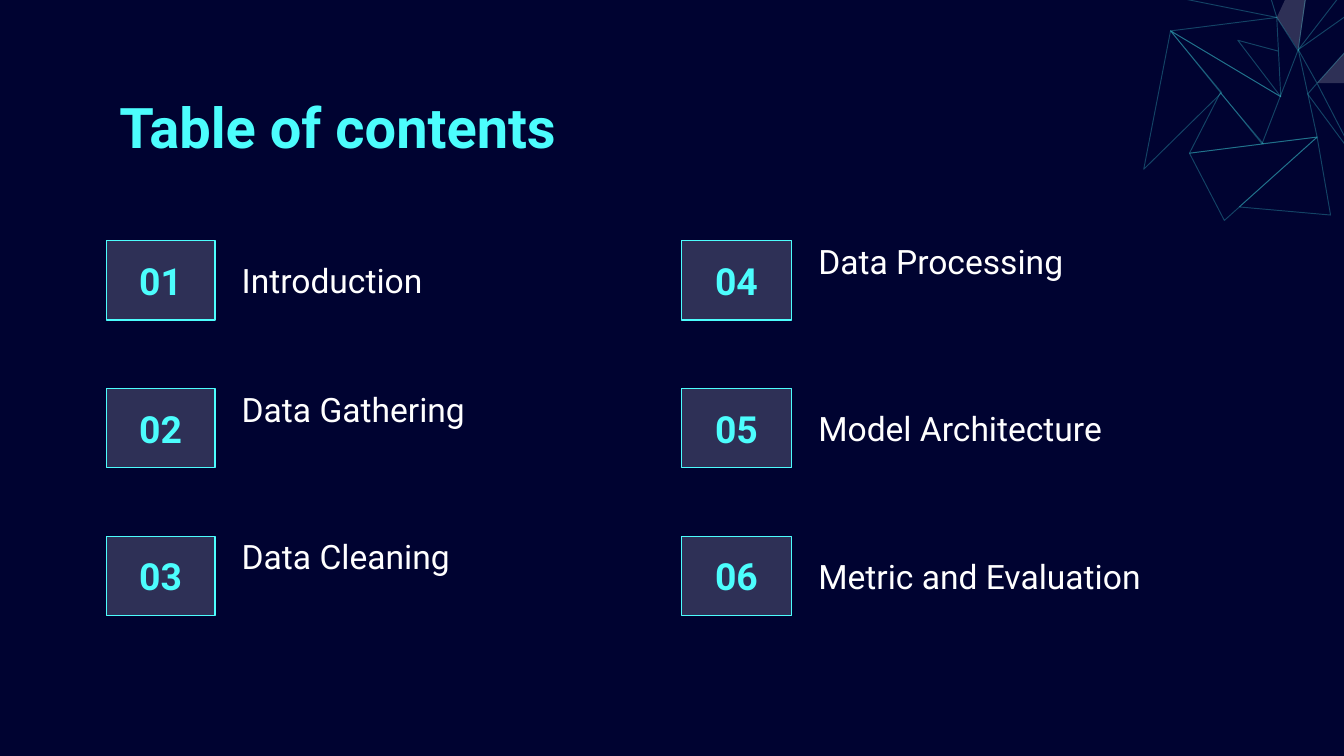
from lxml.etree import SubElement
from pptx import Presentation
from pptx.dml.color import RGBColor
from pptx.enum.shapes import MSO_SHAPE
from pptx.enum.text import MSO_ANCHOR as ANCHOR, PP_ALIGN as ALIGN
from pptx.oxml.ns import qn
from pptx.util import Inches, Pt

NAVY = RGBColor(0x00, 0x03, 0x31)
CYAN = RGBColor(0x4C, 0xFD, 0xFD)
WHITE = RGBColor(0xFF, 0xFF, 0xFF)

# Grid in inches: two columns of entries, three rows
COLUMNS = [(0.79, 0.81, 1.7), (5.07, 0.82, 5.99)]  # box left, box width, label left
FIRST_ROW, ROW_STEP, ROW_HEIGHT = 1.79, 1.1, 0.59
LABEL_WIDTH = 3.18

TITLE_FORMAT = {"size": Pt(30), "bold": True, "name": "Roboto"}
NUMBER_FORMAT = {"size": Pt(20), "bold": True, "name": "Roboto"}
LABEL_FORMAT = {"size": Pt(18), "bold": False, "name": "Roboto"}

# Label and whether it sits at the top of its row
ENTRIES = [
    ("Introduction", False), ("Data Gathering", True), ("Data Cleaning", True),
    ("Data Processing", True), ("Model Architecture", False),
    ("Metric and Evaluation", False),
]

# Corner web, in hundredths of an inch: closed outlines, open strands, filled facets
OUTLINES = [
    [(939, 107), (980, 102), (966, 37)],
    [(966, 37), (980, 62), (973, 70), (1010, 120), (980, 62), (1065, -33)],
    [(966, 37), (1027, -42), (978, -50)],
    [(865, -4), (950, 13), (925, -68)],
    [(851, 126), (909, 69), (871, 23)],
    [(885, 114), (911, 164), (980, 102)],
    [(885, 114), (940, 107), (908, 69)],
    [(922, 154), (990, 160), (980, 102)],
]
STRANDS = [
    [(939, 107), (871, 23), (953, 72), (950, 13), (966, 38)],
    [(951, 38), (921, 30), (953, 72), (871, 23), (950, 13)],
]
FACETS = [
    [(950, 13), (979, -49), (966, 37)],
    [(980, 62), (1057, 62), (1030, 6)],
]


def paint(fill, color, opacity):
    """Give a fill a solid colour with an opacity in percent."""
    fill.solid()
    fill.fore_color.rgb = color
    color_element = fill._xPr.find(qn("a:solidFill"))[0]
    SubElement(color_element, qn("a:alpha")).set("val", str(opacity * 1000))


def write(shape, text, color, font_format, align=ALIGN.LEFT, anchor=ANCHOR.MIDDLE):
    frame = shape.text_frame
    frame.word_wrap = True
    frame.vertical_anchor = anchor
    for side in ("left", "right", "top", "bottom"):
        setattr(frame, f"margin_{side}", Inches(0.1))
    paragraph = frame.paragraphs[0]
    paragraph.alignment = align
    run = paragraph.add_run()
    run.text = text
    run.font.color.rgb = color
    for name, value in font_format.items():
        setattr(run.font, name, value)


presentation = Presentation()
presentation.slide_width = Inches(10)
presentation.slide_height = Inches(5.625)
slide = presentation.slides.add_slide(presentation.slide_layouts[6])
slide.background.fill.solid()
slide.background.fill.fore_color.rgb = NAVY

# Corner web
web = slide.shapes.add_group_shape()
for kind, polygons in (("outline", OUTLINES), ("strand", STRANDS), ("facet", FACETS)):
    for start, *others in polygons:
        builder = web.shapes.build_freeform(*start, scale=Inches(0.01))
        builder.add_line_segments(others, close=kind != "strand")
        shape = builder.convert_to_shape()
        shape.shadow.inherit = False
        if kind == "facet":
            paint(shape.fill, WHITE, 18)
            shape.line.fill.background()
        else:
            shape.fill.background()
            shape.line.width = Pt(0.5)
            paint(shape.line.fill, CYAN, 26)

# Title
title = slide.shapes.add_textbox(Inches(0.79), Inches(0.59), Inches(8.43), Inches(0.63))
write(title, "Table of contents", CYAN, TITLE_FORMAT, anchor=ANCHOR.TOP)

# Numbered entries, filled down each column
for index, (label, at_top) in enumerate(ENTRIES):
    column, row = divmod(index, 3)
    box_left, box_width, label_left = COLUMNS[column]
    top, height = Inches(FIRST_ROW + row * ROW_STEP), Inches(ROW_HEIGHT)

    box = slide.shapes.add_shape(
        MSO_SHAPE.RECTANGLE, Inches(box_left), top, Inches(box_width), height)
    box.shadow.inherit = False
    paint(box.fill, WHITE, 18)
    box.line.color.rgb = CYAN
    box.line.width = Pt(0.75)
    write(box, f"{index + 1:02}", CYAN, NUMBER_FORMAT, align=ALIGN.CENTER)

    caption = slide.shapes.add_textbox(Inches(label_left), top, Inches(LABEL_WIDTH), height)
    write(caption, label, WHITE, LABEL_FORMAT,
          anchor=ANCHOR.TOP if at_top else ANCHOR.MIDDLE)
    if at_top:
        caption.text_frame.margin_top = 0

presentation.save("out.pptx")
